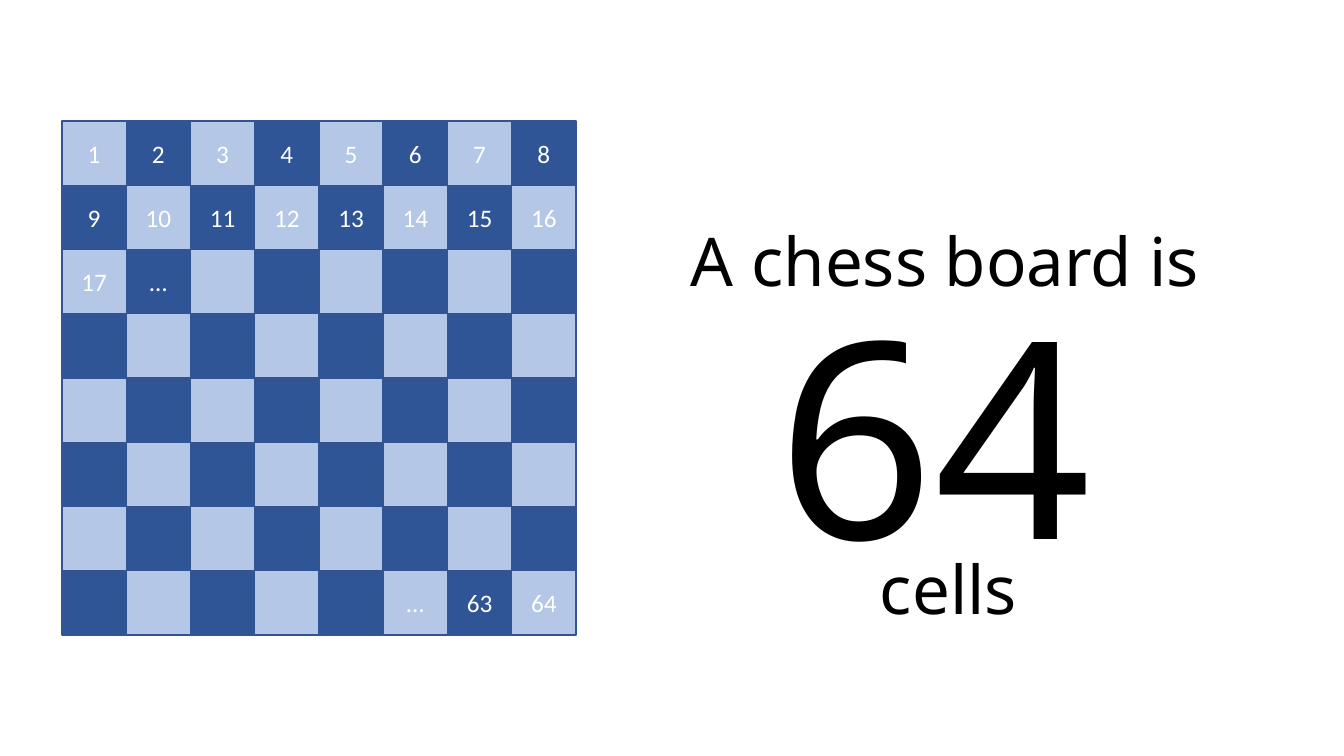
from pptx import Presentation
from pptx.dml.color import RGBColor
from pptx.enum.shapes import MSO_SHAPE
from pptx.enum.text import MSO_ANCHOR, MSO_AUTO_SIZE, PP_ALIGN
from pptx.util import Emu, Pt

RECTANGLE = MSO_SHAPE.RECTANGLE
MIDDLE = MSO_ANCHOR.MIDDLE
FIT_SHAPE = MSO_AUTO_SIZE.SHAPE_TO_FIT_TEXT
CENTER, LEFT = PP_ALIGN.CENTER, PP_ALIGN.LEFT

PIXEL = 914400 / 100.8
COLORS = {"light": "B4C7E7", "dark": "2F5597", "edge": "325491",
          "number": "FFFFFF", "caption": "000000"}
NUMBER_FONT = {"name": "Calibri", "size": Pt(18)}
BOARD_LEFT, BOARD_TOP, BOARD_SIDE = 62, 121, 514
CELLS = 8


def px(length):
    """Turn pixels into EMU."""
    return Emu(round(length * PIXEL))


def write(box, text, font, color, alignment):
    """Write one formatted paragraph into a box."""
    para = box.text_frame.paragraphs[0]
    para.alignment = alignment
    span = para.add_run()
    span.text = text
    for name, value in font.items():
        setattr(span.font, name, value)
    span.font.color.rgb = RGBColor.from_string(COLORS[color])


deck = Presentation()
deck.slide_width, deck.slide_height = px(1344), px(756)
page = deck.slides.add_slide(deck.slide_layouts[6])

# Chess board: the first 17 and last two cells are numbered
labels = {number: str(number) for number in [*range(1, 18), 63, 64]}
labels[18] = labels[62] = "…"
side = BOARD_SIDE / CELLS
for column in reversed(range(CELLS)):
    for row in range(CELLS):
        cell = page.shapes.add_shape(
            RECTANGLE, px(BOARD_LEFT + column * side),
            px(BOARD_TOP + row * side), px(side), px(side))
        cell.shadow.inherit = False
        shade = "dark" if (row + column) % 2 else "light"
        cell.fill.solid()
        cell.fill.fore_color.rgb = RGBColor.from_string(COLORS[shade])
        cell.line.color.rgb = RGBColor.from_string(COLORS["edge"])
        cell.line.width = Pt(1)
        cell.text_frame.vertical_anchor = MIDDLE
        number = row * CELLS + column + 1
        if number in labels:
            write(cell, labels[number], NUMBER_FONT, "number", CENTER)

# Caption beside the board
captions = [
    ("A chess board is", 48, (681, 214, 563, 92)),
    ("64", 196, (768, 260, 358, 343)),
    ("cells", 48, (870, 542, 168, 92)),
]
for text, size, frame in captions:
    box = page.shapes.add_textbox(*map(px, frame))
    box.text_frame.word_wrap = False
    box.text_frame.auto_size = FIT_SHAPE
    write(box, text, {"name": "Noto Sans", "size": Pt(size)}, "caption", LEFT)

deck.save("out.pptx")
